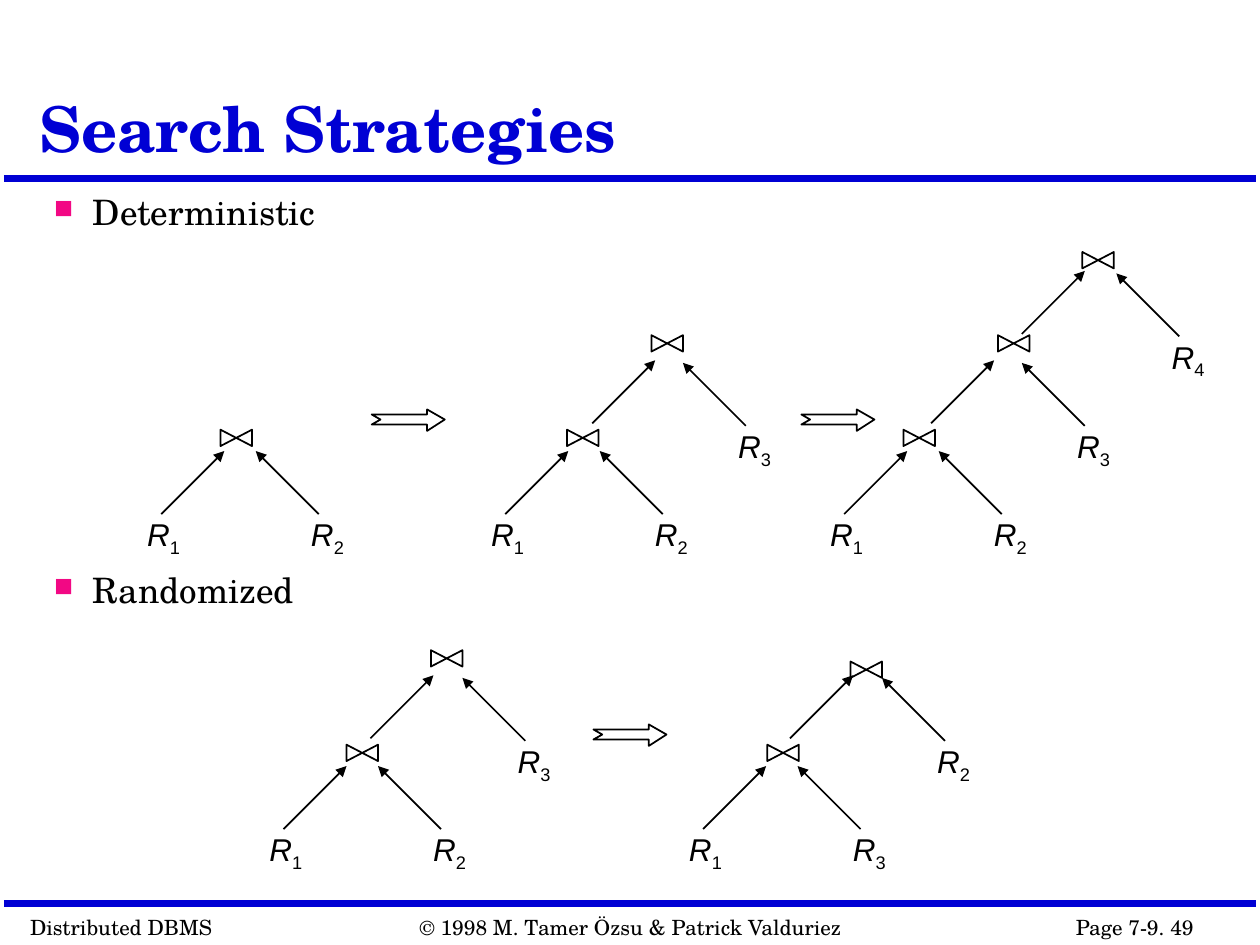
import pptx
import pptx.dml.color
import pptx.enum.dml
import pptx.enum.shapes
import pptx.enum.text
import pptx.oxml
import pptx.oxml.ns
import pptx.util

SCALE = 9144
BLUE, BLACK, PINK = "0000D4", "000000", "F20884"
SERIF, SANS = "TeX Gyre Schola", "Arial"
STEP = 50

RULES = [142, 717]
FOOTERS = [
    (14, 165, "Distributed DBMS"),
    (323, 357, "© 1998 M. Tamer Özsu & Patrick Valduriez"),
    (844, 176, "Page 7-9. 49"),
]
STRATEGIES = [(150, "Deterministic"), (450, "Randomized")]
BLOCK_ARROWS = [(295, 325), (636, 325), (471, 575)]
# Each join: left branch foot, right branch foot, right relation, symbol corner.
TREES = [
    [((128, 408), (253, 408), "2", (181, 335))],
    [((401, 408), (526, 408), "2", (456, 335)),
     ((470, 336), (592, 338), "3", (523, 260))],
    [((670, 408), (795, 408), "2", (723, 335)),
     ((739, 336), (861, 338), "3", (798, 260)),
     ((811, 265), (936, 267), "4", (865, 194))],
    [((225, 658), (350, 658), "2", (281, 585)),
     ((294, 586), (417, 588), "3", (348, 510))],
    [((558, 658), (683, 658), "3", (615, 585)),
     ((627, 586), (750, 588), "2", (681, 519))],
]


def px(*lengths):
    """Turn px lengths into a list of EMU."""
    return [pptx.util.Emu(length * SCALE) for length in lengths]


def color(hex_value):
    """Make a colour from a hex string."""
    return pptx.dml.color.RGBColor.from_string(hex_value)


def assign(target, values):
    """Set every attribute named in values."""
    for name, value in values.items():
        setattr(target, name, value)


def outline(line, hex_value, width):
    """Give a line its colour and width."""
    line.color.rgb = color(hex_value)
    line.width = pptx.util.Pt(width)


def add_run(paragraph, text, size, font, hex_value=BLACK, **values):
    """Append a formatted run of text."""
    run = paragraph.add_run()
    run.text = text
    assign(run.font, {"size": pptx.util.Pt(size), "name": font, **values})
    run.font.color.rgb = color(hex_value)
    return run


def add_text_box(slide, left, top, width, height, wrap):
    """Add a text box and return its first paragraph."""
    frame = slide.shapes.add_textbox(*px(left, top, width, height)).text_frame
    sizes = pptx.enum.text.MSO_AUTO_SIZE
    assign(frame, {"word_wrap": wrap,
                   "auto_size": sizes.NONE if wrap else sizes.SHAPE_TO_FIT_TEXT})
    return frame.paragraphs[0]


def add_line(slide, start, end, hex_value=BLACK, width=1, arrow=True):
    """Draw a straight line, with an arrowhead at its end if wanted."""
    connector = slide.shapes.add_connector(
        pptx.enum.shapes.MSO_CONNECTOR.STRAIGHT, *px(*start, *end))
    outline(connector.line, hex_value, width)
    if arrow:
        head = pptx.oxml.parse_xml(
            f'<a:tailEnd {pptx.oxml.ns.nsdecls("a")} type="triangle"/>')
        connector.line._get_or_add_ln().append(head)
    effects = pptx.oxml.parse_xml(f'<a:effectLst {pptx.oxml.ns.nsdecls("a")}/>')
    connector._element.spPr.append(effects)


def finish_outline_shape(shape):
    """Leave a shape unfilled with a thin black outline."""
    shape.shadow.inherit = False
    shape.fill.background()
    outline(shape.line, BLACK, 1)


def add_title(slide, text):
    """Place and format the title."""
    title = slide.shapes.title
    assign(title, dict(zip(("left", "top", "width", "height"), px(21, 12, 783, 125))))
    assign(title.text_frame, {"vertical_anchor": pptx.enum.text.MSO_ANCHOR.BOTTOM,
                              "auto_size": pptx.enum.text.MSO_AUTO_SIZE.NONE})
    paragraph = title.text_frame.paragraphs[0]
    assign(paragraph, {"alignment": pptx.enum.text.PP_ALIGN.LEFT, "line_spacing": 0.9})
    add_run(paragraph, text, 36, SERIF, BLUE, bold=True)


def add_bullet(slide, top, text):
    """Add a strategy name with a square bullet."""
    paragraph = add_text_box(slide, 33, top, 783, 58, True)
    assign(paragraph, {"line_spacing": 0.9, "space_before": pptx.util.Pt(7.5)})
    add_run(paragraph, text, 20, SERIF)
    properties = paragraph._p.get_or_add_pPr()
    indent = 31 * SCALE
    for name, value in {"marL": indent, "indent": -indent}.items():
        properties.set(name, str(value))
    for tag in (f'buClr {{}}><a:srgbClr val="{PINK}"/></a:buClr>',
                'buSzPct {} val="75000"/>', 'buChar {} char="■"/>'):
        xml = "<a:" + tag.format(pptx.oxml.ns.nsdecls("a"))
        properties.append(pptx.oxml.parse_xml(xml))


def add_relation(slide, left, top, number):
    """Label a relation R with its subscript."""
    paragraph = add_text_box(slide, left, top, 46, 44, False)
    add_run(paragraph, "R", 18, SANS, italic=True)
    subscript = add_run(paragraph, number, 18, SANS)
    subscript._r.get_or_add_rPr().set("baseline", "-25000")


def add_join(slide, left_foot, right_foot, relation, corner):
    """Draw a join symbol, its two branches and the right relation."""
    for (x, y), direction in ((left_foot, 1), (right_foot, -1)):
        add_line(slide, (x, y), (x + direction * STEP, y - STEP))
    add_relation(slide, right_foot[0] - 16, right_foot[1] - 4, relation)
    symbol = slide.shapes.add_shape(
        pptx.enum.shapes.MSO_SHAPE.FLOWCHART_COLLATE, *px(*corner, 13, 25))
    symbol.rotation = 270
    finish_outline_shape(symbol)


def add_tree(slide, joins):
    """Draw a join tree from its lowest join upwards."""
    x, y = joins[0][0]
    add_relation(slide, x - 21, y - 4, "1")
    for join in joins:
        add_join(slide, *join)


def add_block_arrow(slide, left, top):
    """Draw a notched arrow between two trees."""
    points = [(0, 4), (44, 4), (44, 0), (58, 8), (44, 17), (44, 12), (0, 12), (7, 8)]
    corners = [(left + x, top + y) for x, y in points]
    builder = slide.shapes.build_freeform(*corners[0], scale=SCALE)
    builder.add_line_segments(corners[1:], close=True)
    finish_outline_shape(builder.convert_to_shape())


def main():
    """Build the slide and save it."""
    presentation = pptx.Presentation()
    presentation.slide_width, presentation.slide_height = px(1000, 750)
    slide = presentation.slides.add_slide(presentation.slide_layouts[5])
    for y in RULES:
        add_line(slide, (3, y), (997, y), BLUE, 4, arrow=False)
    for left, width, text in FOOTERS:
        add_run(add_text_box(slide, left, 721, width, 30, False), text, 12, SERIF)
    add_title(slide, "Search Strategies")
    for top, text in STRATEGIES:
        add_bullet(slide, top, text)
    for joins in TREES:
        add_tree(slide, joins)
    for left, top in BLOCK_ARROWS:
        add_block_arrow(slide, left, top)
    presentation.save("out.pptx")


if __name__ == "__main__":
    main()
